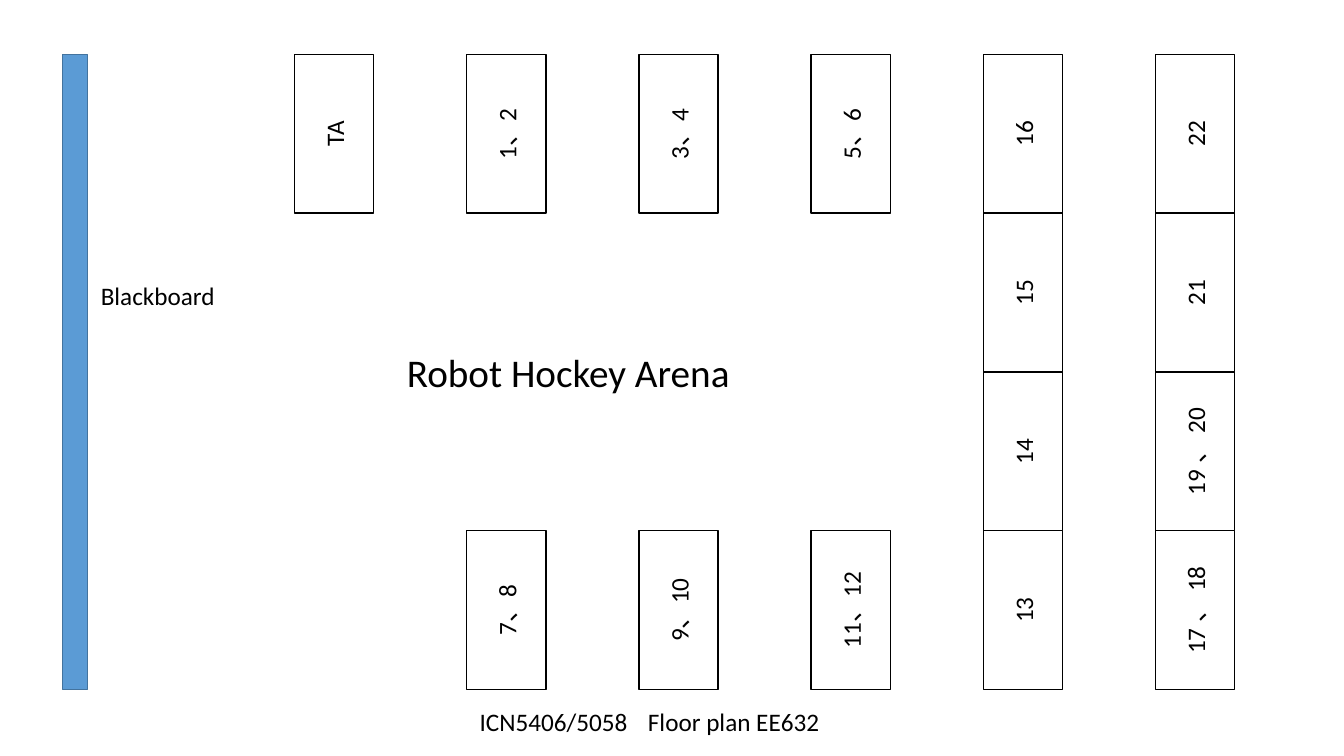
import pptx
import pptx.util
import pptx.dml.color
import pptx.enum.shapes
import pptx.enum.text

Cm = pptx.util.Cm
Pt = pptx.util.Pt
ALIGN = pptx.enum.text.PP_ALIGN
ANCHOR = pptx.enum.text.MSO_ANCHOR

COLORS = {"text": "000000", "desk": "FFFFFF", "desk_line": "000000",
          "board": "5B9BD5", "board_line": "43739E"}

DESK_COLUMNS = [
    {0: "TA"},
    {0: "1、2", 3: "7、8"},
    {0: "3、4", 3: "9、10"},
    {0: "5、6", 3: "11、12"},
    {0: "16", 1: "15", 2: "14", 3: "13"},
    {0: "22", 1: "21", 2: "19 、 20", 3: "17 、 18"},
]
ARENA = ("Robot Hockey Arena", (10, 8.64, 13.2, 1.45))
LABELS = [
    ("Floor plan EE632", (16.08, 17.68, 4.88, 1.02), ALIGN.LEFT, False),
    ("ICN5406/5058", (10.57, 17.68, 6.76, 1.02), ALIGN.CENTER, True),
    ("Blackboard", (2.29, 6.93, 3.4, 1.02), ALIGN.LEFT, False),
]

ROOM_TOP = 1.37
FIRST_DESK_LEFT = 7.42
COLUMN_PITCH = 4.34
DESK_LENGTH, DESK_WIDTH = 4, 2
BOARD = (1.57, ROOM_TOP, 0.64, 4 * DESK_LENGTH)


def color(name):
    return pptx.dml.color.RGBColor.from_string(COLORS[name])


def write_text(shape, text, size, alignment, anchor, wrap=True):
    frame = shape.text_frame
    for name, value in {"word_wrap": wrap, "vertical_anchor": anchor}.items():
        setattr(frame, name, value)
    paragraph = frame.paragraphs[0]
    paragraph.alignment = alignment
    run = paragraph.add_run()
    run.text = text
    for name, value in {"name": "Calibri", "size": Pt(size)}.items():
        setattr(run.font, name, value)
    run.font.color.rgb = color("text")


def add_box(slide, box, fill, line):
    shape = slide.shapes.add_shape(
        pptx.enum.shapes.MSO_SHAPE.RECTANGLE, *map(Cm, box))
    shape.shadow.inherit = False
    shape.fill.solid()
    shape.fill.fore_color.rgb = color(fill)
    shape.line.color.rgb = color(line)
    shape.line.width = Pt(1)
    return shape


def add_desk(slide, column, row, text):
    center_x = FIRST_DESK_LEFT + column * COLUMN_PITCH + DESK_WIDTH / 2
    center_y = ROOM_TOP + (row + 0.5) * DESK_LENGTH
    box = (center_x - DESK_LENGTH / 2, center_y - DESK_WIDTH / 2,
           DESK_LENGTH, DESK_WIDTH)
    desk = add_box(slide, box, "desk", "desk_line")
    desk.rotation = 270
    write_text(desk, text, 18, ALIGN.CENTER, ANCHOR.MIDDLE)


def main():
    presentation = pptx.Presentation()
    presentation.slide_width = Cm(33.87)
    presentation.slide_height = Cm(19.05)
    slide = presentation.slides.add_slide(presentation.slide_layouts[5])

    arena_text, arena_box = ARENA
    title = slide.shapes.title
    for name, value in zip(("left", "top", "width", "height"), arena_box):
        setattr(title, name, Cm(value))
    write_text(title, arena_text, 28, ALIGN.LEFT, ANCHOR.TOP)

    add_box(slide, BOARD, "board", "board_line")
    for column, desks in enumerate(DESK_COLUMNS):
        for row, text in desks.items():
            add_desk(slide, column, row, text)
    for text, box, alignment, wrap in LABELS:
        label = slide.shapes.add_textbox(*map(Cm, box))
        write_text(label, text, 18, alignment, ANCHOR.TOP, wrap)

    presentation.save("out.pptx")


if __name__ == "__main__":
    main()
